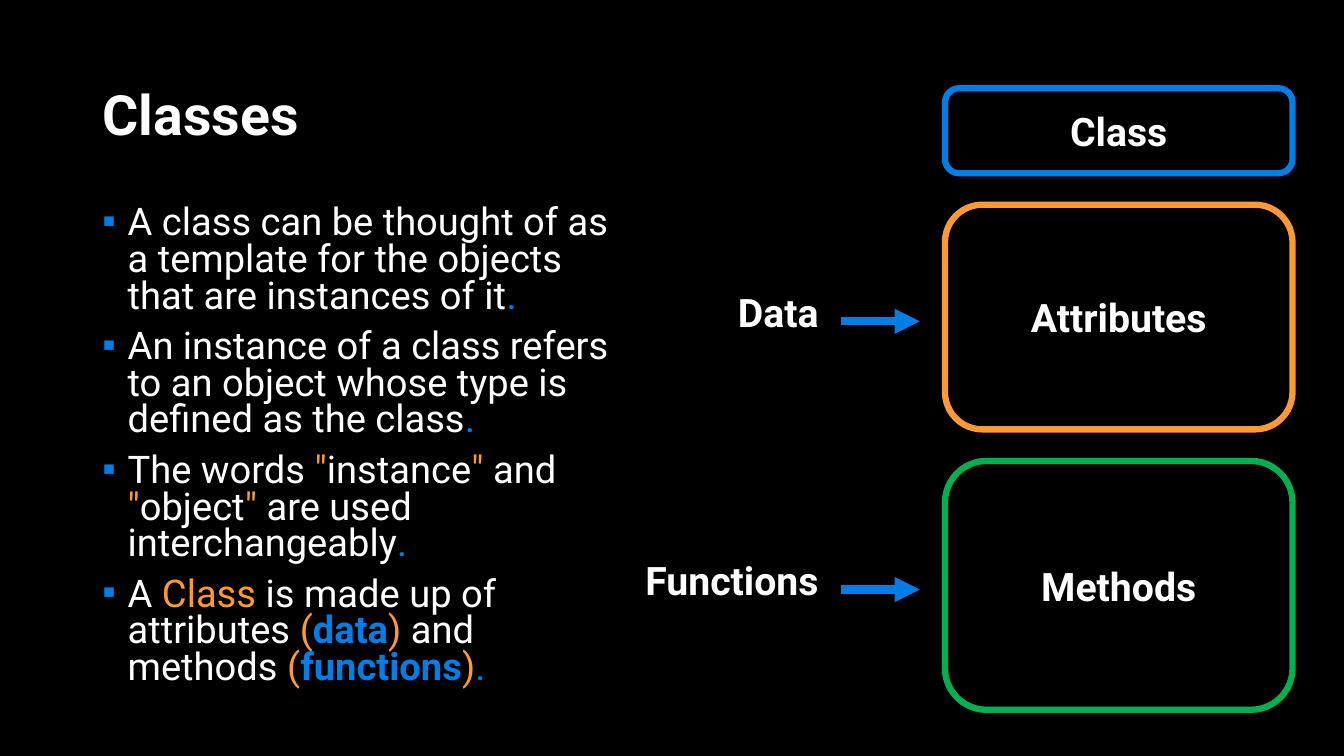
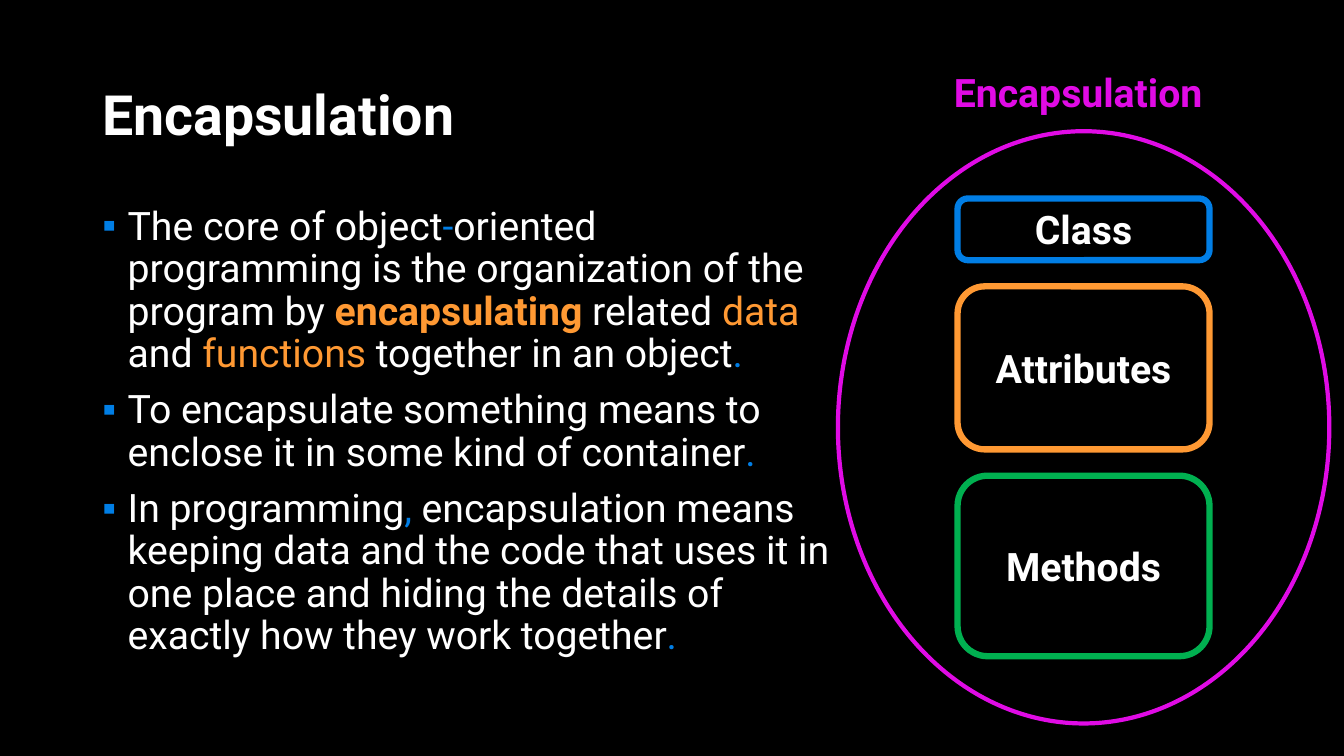
from lxml.etree import SubElement
from pptx import Presentation
from pptx.dml.color import RGBColor
from pptx.enum.shapes import MSO_CONNECTOR, MSO_SHAPE
from pptx.enum.text import MSO_ANCHOR, MSO_AUTO_SIZE, PP_ALIGN
from pptx.oxml.ns import qn
from pptx.util import Pt

SCALE = 9525
FONT = "Roboto"
BLACK, WHITE = "000000", "FFFFFF"
BLUE, ORANGE, GREEN, PINK = "017EE5", "FF9933", "00B050", "E00BE5"
MARK = "007EE5"
PARTS = [("Class", BLUE, 81), ("Attributes", ORANGE, 214), ("Methods", GREEN, 237)]
DOT = (".", BLUE)
QUOTE = ('"', ORANGE)

CLASSES = [
    [("A class can be thought of as a template for the objects that are instances of it",), DOT],
    [("An instance of a class refers to an object whose type is defined as the class",), DOT],
    [("The words ",), QUOTE, ("instance",), QUOTE, (" and ",), QUOTE, ("object",), QUOTE,
     (" are used interchangeably",), DOT],
    [("A ",), ("Class", ORANGE), (" is made up of attributes ",), ("(", ORANGE),
     ("data", BLUE, True), (") ", ORANGE), ("and methods ",), ("(", ORANGE),
     ("functions", BLUE, True), (")", ORANGE), DOT],
]
CAPSULE = [
    [("The core of object",), ("-", BLUE),
     ("oriented programming is the organization of the program by ",),
     ("encapsulating", ORANGE, True), (" related ",), ("data", ORANGE), (" and ",),
     ("functions", ORANGE), (" together in an object",), DOT],
    [("To encapsulate something means to enclose it in some kind of container",), DOT],
    [("In programming",), (",", BLUE),
     (" encapsulation means keeping data and the code that uses it in one place "
      "and hiding the details of exactly how they work together",), DOT],
]


def px(*nums):
    return [round(n * SCALE) for n in nums]


def color(code):
    return RGBColor.from_string(code)


def place(shape, box):
    shape.left, shape.top, shape.width, shape.height = px(*box)


def write(para, text, tint=WHITE, bold=False, size=28):
    run = para.add_run()
    run.text = text
    font = run.font
    font.name, font.size, font.bold = FONT, Pt(size), bold
    font.color.rgb = color(tint)


def head(slide, text, box):
    title = slide.shapes.title
    place(title, box)
    frame = title.text_frame
    frame.auto_size = MSO_AUTO_SIZE.NONE
    frame.vertical_anchor = MSO_ANCHOR.MIDDLE
    para = frame.paragraphs[0]
    para.alignment, para.line_spacing = PP_ALIGN.LEFT, 0.9
    write(para, text, bold=True, size=39.6)


def bullet(para):
    props = para._p.get_or_add_pPr()
    inset = px(24)[0]
    props.set("marL", str(inset))
    props.set("indent", str(-inset))
    tint = SubElement(props, qn("a:buClr"))
    SubElement(tint, qn("a:srgbClr"), val=MARK)
    SubElement(props, qn("a:buFont"), typeface="Arial")
    SubElement(props, qn("a:buChar"), char="▪")


def points(slide, items, box, size, pitch):
    body = slide.placeholders[1]
    place(body, box)
    frame = body.text_frame
    frame.auto_size = MSO_AUTO_SIZE.NONE
    for i, runs in enumerate(items):
        para = frame.add_paragraph() if i else frame.paragraphs[0]
        para.line_spacing, para.space_before = pitch, Pt(10)
        bullet(para)
        for run in runs:
            write(para, *run, size=size)


def outline(slide, kind, box, tint, width):
    shape = slide.shapes.add_shape(kind, *px(*box))
    shape.shadow.inherit = False
    shape.fill.background()
    shape.line.color.rgb = color(tint)
    shape.line.width = Pt(width)
    return shape


def stack(slide, box, gap):
    left, top, width, height = box
    total = sum(share for _, _, share in PARTS)
    unit = (height - gap * (len(PARTS) - 1)) / total
    mids = {}
    for name, tint, share in PARTS:
        tall = share * unit
        shape = outline(slide, MSO_SHAPE.ROUNDED_RECTANGLE, (left, top, width, tall), tint, 4.5)
        frame = shape.text_frame
        frame.vertical_anchor = MSO_ANCHOR.MIDDLE
        para = frame.paragraphs[0]
        para.alignment = PP_ALIGN.CENTER
        write(para, name, bold=True)
        mids[name] = top + tall / 2
        top += tall + gap
    return mids


def label(slide, text, box, tint=WHITE, align=PP_ALIGN.LEFT):
    frame = slide.shapes.add_textbox(*px(*box)).text_frame
    frame.word_wrap = True
    para = frame.paragraphs[0]
    para.alignment = align
    write(para, text, tint, True)


def arrow(slide, left, right, y):
    line = slide.shapes.add_connector(MSO_CONNECTOR.STRAIGHT, *px(left, y, right, y))
    line.line.color.rgb = color(BLUE)
    line.line.width = Pt(6)
    SubElement(line.line._get_or_add_ln(), qn("a:tailEnd"), type="triangle")
    SubElement(line._element.spPr, qn("a:effectLst"))


def pointer(slide, text, right, y):
    label(slide, text, (right - 307, y - 36, 220, 55), align=PP_ALIGN.RIGHT)
    arrow(slide, right - 75, right, y)


def page(deck, title, items, width, size, pitch):
    slide = deck.slides.add_slide(deck.slide_layouts[1])
    head(slide, title, (88, 77, 1104, 69))
    points(slide, items, (88, 192, width, 508), size, pitch)
    return slide


def classes(deck):
    slide = page(deck, "Classes", CLASSES, 510, 27.2, 0.8)
    mids = stack(slide, (900, 84, 331, 592), 30)
    for text, part in (("Data", "Attributes"), ("Functions", "Methods")):
        pointer(slide, text, 876, mids[part] + 4)


def capsule(deck):
    slide = page(deck, "Encapsulation", CAPSULE, 713, 28, 0.9)
    stack(slide, (912, 189, 240, 436), 25)
    outline(slide, MSO_SHAPE.OVAL, (798, 125, 468, 564), PINK, 3)
    label(slide, "Encapsulation", (899, 60, 290, 55), PINK)


def main():
    deck = Presentation()
    deck.slide_width, deck.slide_height = px(1280, 720)
    fill = deck.slide_master.background.fill
    fill.solid()
    fill.fore_color.rgb = color(BLACK)
    classes(deck)
    capsule(deck)
    deck.save("out.pptx")


if __name__ == "__main__":
    main()
